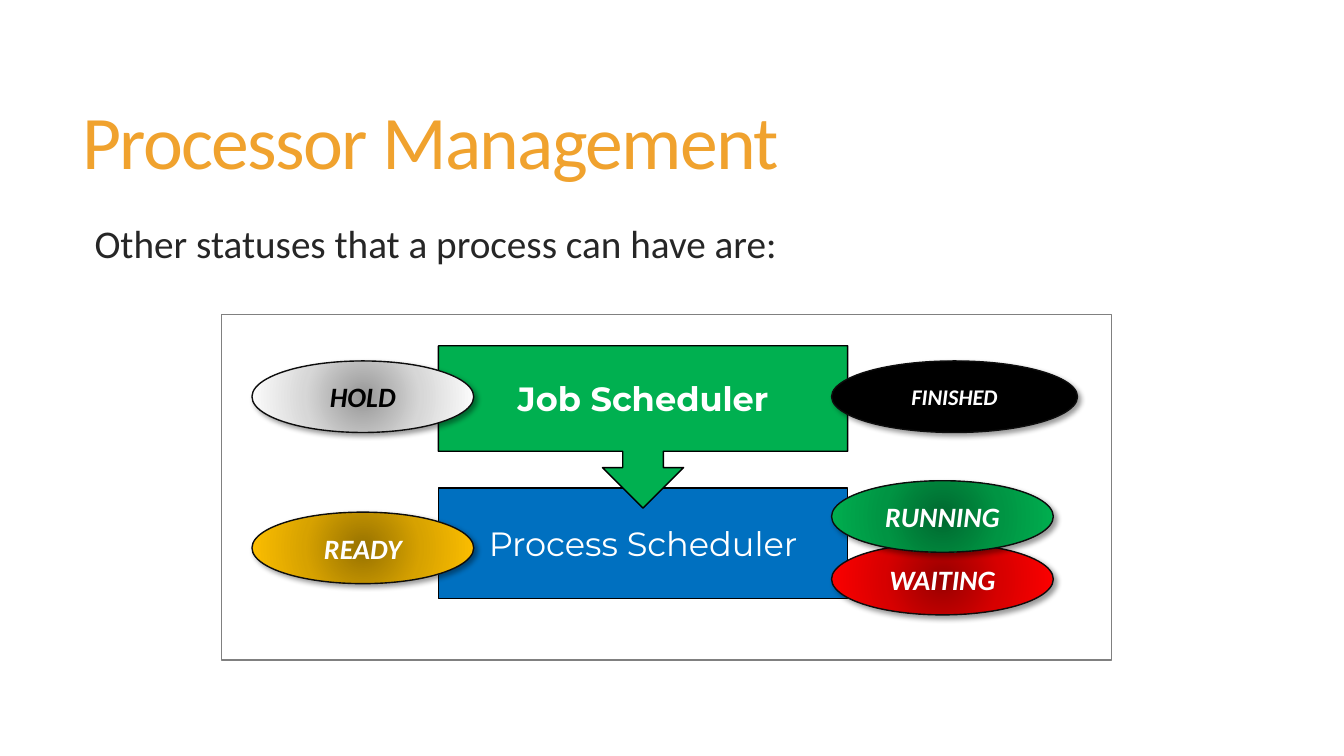
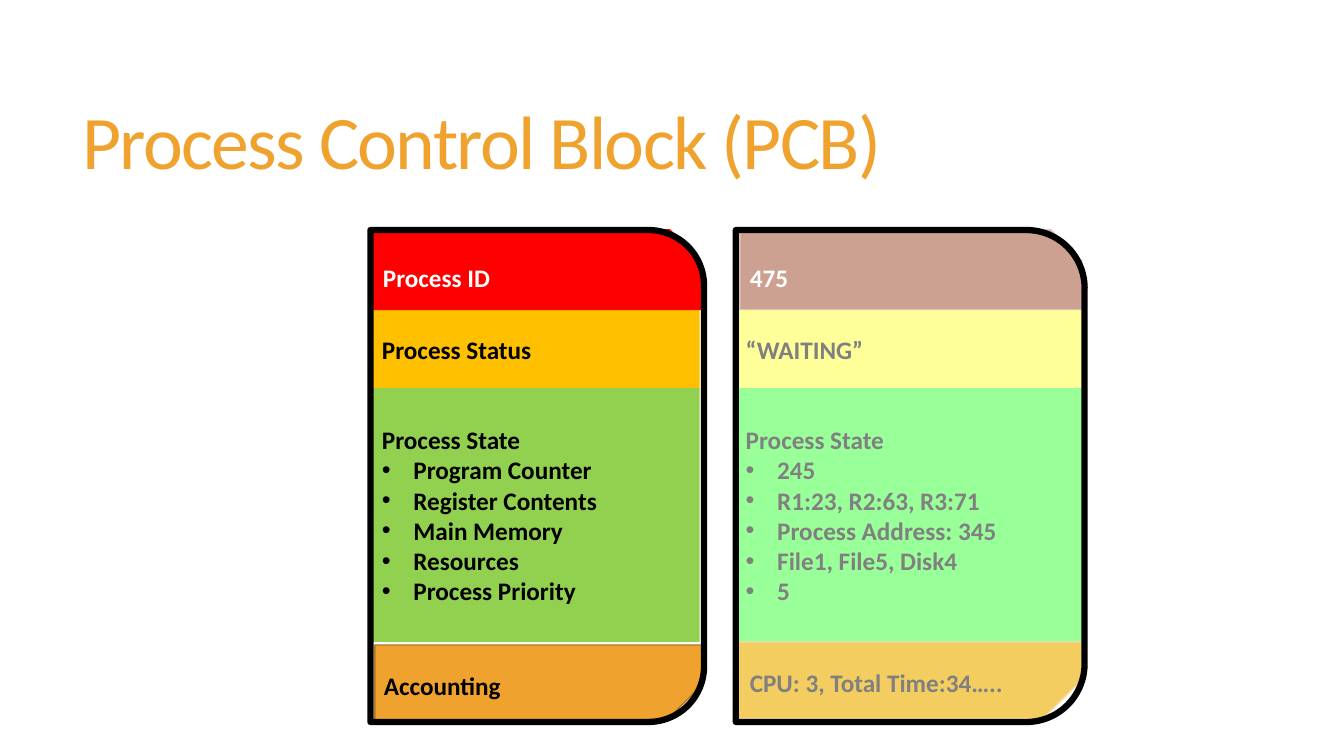
from lxml import etree
from pptx import Presentation
from pptx.dml.color import RGBColor
from pptx.enum.shapes import MSO_SHAPE as Shape
from pptx.enum.text import MSO_ANCHOR as Anchor, PP_ALIGN as Align
from pptx.oxml import parse_xml
from pptx.oxml.ns import nsdecls, qn
from pptx.util import Pt

# Shared style
FONT, LABEL_FONT = "Calibri", "Montserrat"
WHITE, BLACK = RGBColor(255, 255, 255), RGBColor(0, 0, 0)
ORANGE, INK = RGBColor(0xF0, 0xA2, 0x2E), RGBColor(0x26, 0x26, 0x26)
GRAY, RIM = RGBColor(0x80, 0x80, 0x80), RGBColor(0x0D, 0x0D, 0x0D)
BLUE, GREEN = RGBColor(0, 0x70, 0xC0), RGBColor(0, 0xB0, 0x50)
RED, AMBER = RGBColor(255, 0, 0), RGBColor(0xFF, 0xC0, 0)
LIME, MINT = RGBColor(0x92, 0xD0, 0x50), RGBColor(0x99, 0xFF, 0x99)
LEMON, ROSE = RGBColor(0xFF, 0xFF, 0x99), RGBColor(0xCC, 0xA1, 0x92)
SAND, PALE_ROSE = RGBColor(0xF3, 0xCD, 0x60), RGBColor(0xDD, 0xC0, 0xB6)
PALE_SAND, BROWN = RGBColor(0xF9, 0xDA, 0xAB), RGBColor(0xB2, 0x78, 0x22)
TITLE_BOX = (51.8, 39.6, 848.2, 130.3)

# Statuses: label, left, top, width, text size, text colour, fill
# A fill is one colour, or gradient stops from the centre outwards
STATUSES = [
    ("HOLD", 180, 257.8, 158.4, 20, BLACK, ("979797", "D7D7D7", "FFFFFF")),
    ("WAITING", 594, 388.1, 158.4, 20, WHITE, ("970000", "D70000", "FF0000")),
    ("READY", 180, 365.8, 158.4, 20, WHITE, ("977200", "D7A200", "FFC000")),
    ("RUNNING", 594, 343.4, 158.4, 20, WHITE, ("00682F", "009443", "00B050")),
    ("FINISHED", 594, 257.8, 175.7, 16, WHITE, BLACK),
]
STATUS_HEIGHT = 51.1

# Control blocks: frame is (left, width); each band is
# (left, width, fill, line, text colour, lines of text)
BLOCKS = [
    dict(frame=(264.6, 238.3), footer_top=460.8, footer_text=(267.1, 114.5),
         header=(266.4, 234, RED, RED, WHITE, ["Process ID"]),
         status=(265.7, 234, AMBER, None, BLACK, ["Process Status"]),
         state=(265.7, 234, LIME, None, BLACK,
                ["Process State", "Program Counter", "Register Contents",
                 "Main Memory", "Resources", "Process Priority"]),
         footer=(267.8, 234.7, ORANGE, BROWN, BLACK, ["Accounting"])),
    dict(frame=(525.6, 249.1), footer_top=458.6, footer_text=(528.5, 237.6),
         header=(528.5, 244.1, ROSE, PALE_ROSE, WHITE, ["475"]),
         status=(525.6, 249.1, LEMON, None, GRAY, ["“WAITING”"]),
         state=(525.6, 249.1, MINT, None, GRAY,
                ["Process State", "245", "R1:23, R2:63, R3:71",
                 "Process Address: 345", "File1, File5, Disk4", "5"]),
         footer=(526.3, 246.2, SAND, PALE_SAND, GRAY,
                 ["CPU: 3, Total Time:34….."])),
]
FRAME_TOP, FRAME_HEIGHT = 164.3, 351.4
HEADER_TOP, STATUS_TOP, STATE_TOP = 164.2, 221, 277.2
BAND_HEIGHT, STATE_HEIGHT, FOOTER_HEIGHT = 56.9, 181.4, 54.7


def write(shape, lines, size, color, font=FONT, bold=False, italic=False,
          align=Align.LEFT, anchor=Anchor.MIDDLE, spacing=None):
    """Fill a shape with text; lines after the first are bulleted."""
    frame = shape.text_frame
    frame.word_wrap = True
    frame.vertical_anchor = anchor
    for index, line in enumerate(lines):
        para = frame.add_paragraph() if index else frame.paragraphs[0]
        para.add_run().text = line
        para.alignment = align
        if spacing:
            para.line_spacing = spacing
        if index:
            props = para._p.get_or_add_pPr()
            props.set("marL", str(Pt(22.5)))
            props.set("indent", str(-Pt(22.5)))
            etree.SubElement(props, qn("a:buFont")).set("typeface", "Arial")
            etree.SubElement(props, qn("a:buChar")).set("char", "•")
        style = para.font
        style.name, style.size = font, Pt(size)
        style.bold, style.italic = bold, italic
        style.color.rgb = color


def add_box(page, kind, box, fill=None, line=None, width=1):
    shape = page.shapes.add_shape(kind, *map(Pt, box))
    shape.shadow.inherit = False
    if fill is None:
        shape.fill.background()
    else:
        shape.fill.solid()
        shape.fill.fore_color.rgb = fill
    if line is None:
        shape.line.fill.background()
    else:
        shape.line.color.rgb = line
        shape.line.width = Pt(width)
    return shape


def add_text(page, box, lines, size, color, **style):
    shape = page.shapes.add_textbox(*map(Pt, box))
    write(shape, lines, size, color, anchor=Anchor.TOP, **style)


def set_radial(shape, colors):
    stops = "".join(
        f'<a:gs pos="{index * 50000}"><a:srgbClr val="{color}"/></a:gs>'
        for index, color in enumerate(colors))
    gradient = parse_xml(
        f'<a:gradFill {nsdecls("a")} rotWithShape="1"><a:gsLst>{stops}</a:gsLst>'
        '<a:path path="circle"><a:fillToRect l="50000" t="50000" r="50000" '
        'b="50000"/></a:path></a:gradFill>')
    props = shape._element.spPr
    props.replace(props.find(qn("a:solidFill")), gradient)


def add_shadow(shape):
    shape._element.spPr.find(qn("a:effectLst")).append(parse_xml(
        f'<a:outerShdw {nsdecls("a")} blurRad="{Pt(4)}" dist="{Pt(3)}" '
        'dir="2700000" algn="tl" rotWithShape="0"><a:srgbClr val="000000">'
        '<a:alpha val="40000"/></a:srgbClr></a:outerShdw>'))


def add_page(deck, heading):
    page = deck.slides.add_slide(deck.slide_layouts[5])
    title = page.shapes.title
    title.left, title.top, title.width, title.height = map(Pt, TITLE_BOX)
    write(title, [heading], 54, ORANGE, spacing=0.85)
    span = title.text_frame.paragraphs[0].runs[0]
    span._r.get_or_add_rPr().set("spc", "-120")
    return page


def build_schedulers(deck):
    page = add_page(deck, "Processor Management")
    add_box(page, Shape.RECTANGLE, (158.4, 224.6, 635.8, 247), WHITE, GRAY)
    add_text(page, (60.5, 158.4, 839.5, 40),
             ["Other statuses that a process can have are:"], 28, INK, spacing=0.85)

    # Schedulers
    process = add_box(page, Shape.RECTANGLE, (313.2, 348.5, 292.3, 79.2), BLUE, BLACK)
    write(process, ["Process Scheduler"], 24, WHITE, LABEL_FONT, align=Align.CENTER)
    job = add_box(page, Shape.DOWN_ARROW_CALLOUT, (313.2, 247, 292.3, 116), GREEN, BLACK)
    write(job, ["Job Scheduler"], 24, WHITE, LABEL_FONT, bold=True, align=Align.CENTER)

    # Status ovals
    for label, left, top, width, size, color, fill in STATUSES:
        solid = isinstance(fill, RGBColor)
        oval = add_box(page, Shape.OVAL, (left, top, width, STATUS_HEIGHT),
                       fill if solid else WHITE, RIM)
        if not solid:
            set_radial(oval, fill)
        add_shadow(oval)
        write(oval, [label], size, color, bold=True, italic=True, align=Align.CENTER)


def build_control_blocks(deck):
    page = add_page(deck, "Process Control Block (PCB)")
    for block in BLOCKS:
        bands = [
            ("status", Shape.RECTANGLE, STATUS_TOP, BAND_HEIGHT, None),
            ("state", Shape.RECTANGLE, STATE_TOP, STATE_HEIGHT, None),
            ("header", Shape.SNIP_1_RECTANGLE, HEADER_TOP, BAND_HEIGHT, 0.386),
            ("footer", Shape.SNIP_1_RECTANGLE, block["footer_top"], FOOTER_HEIGHT, 0.5),
        ]
        for name, kind, top, height, snip in bands:
            left, width, fill, line, color, lines = block[name]
            band = add_box(page, kind, (left, top, width, height), fill, line)
            if snip:
                band.adjustments[0] = snip
            if name == "footer":  # snipped at the bottom, so its text sits apart
                band._element.spPr.xfrm.set("flipV", "1")
                text_left, text_width = block["footer_text"]
                add_text(page, (text_left, top + 14.8, text_width, 28.8),
                         lines, 18, color, bold=True)
            else:
                write(band, lines, 18, color, bold=True)

        # Outline: turned a quarter so that the right corners are round
        left, width = block["frame"]
        shift = (FRAME_HEIGHT - width) / 2
        outline = add_box(page, Shape.ROUND_2_SAME_RECTANGLE,
                          (left - shift, FRAME_TOP + shift, FRAME_HEIGHT, width),
                          line=BLACK, width=4.5)
        outline.rotation = 90


def main():
    deck = Presentation()
    deck.slide_width, deck.slide_height = Pt(960), Pt(540)
    build_schedulers(deck)
    build_control_blocks(deck)
    deck.save("out.pptx")


if __name__ == "__main__":
    main()
